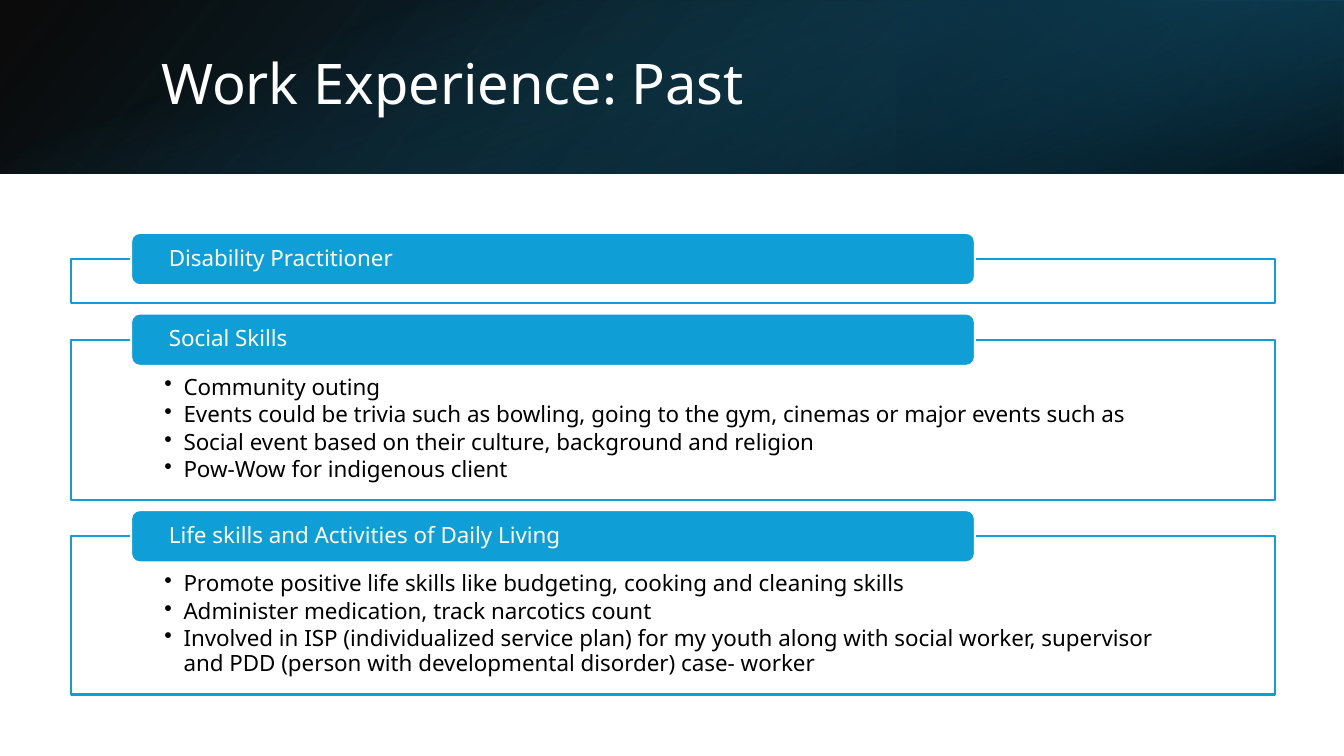
from lxml.etree import SubElement
from pptx import Presentation
from pptx.dml.color import RGBColor
from pptx.enum.shapes import MSO_SHAPE as Shape
from pptx.enum.text import MSO_ANCHOR as Anchor, PP_ALIGN as Align
from pptx.oxml import parse_xml
from pptx.oxml.ns import nsdecls, qn
from pptx.util import Inches, Pt

TITLE = "Work Experience: Past"
SECTIONS = [
    ("Disability Practitioner", 0.44, []),
    ("Social Skills", 1.59, [
        "Community outing",
        "Events could be trivia such as bowling, going to the gym, cinemas or major events such as",
        "Social event based on their culture, background and religion",
        "Pow-Wow for indigenous client",
    ]),
    ("Life skills and Activities of Daily Living", 1.57, [
        "Promote positive life skills like budgeting, cooking and cleaning skills",
        "Administer medication, track narcotics count",
        "Involved in ISP (individualized service plan) for my youth along with social worker, "
        "supervisor and PDD (person with developmental disorder) case- worker",
    ]),
]
THEME = {
    "font": "Noto Sans", "title_size": 40, "body_size": 16, "line": 1.5,
    "white": "FFFFFF", "black": "000000", "accent": "0F9ED5",
}
BANNER = [
    ((0, 0, 13.33, 1.72), 0, True, 140, [(0, "000000", 96), (100, "104862", 100)]),
    ((8.89, 0, 4.44, 1.72), 180, True, 320, [(19, "0B3041", 68), (100, "156082", 79)]),
    ((5.8, -5.8, 1.72, 13.33), 90, False, 340, [(23, "156082", 0), (99, "000000", 74)]),
]
BOX_LEFT, BOX_TOP, BOX_WIDTH, BOX_GAP = 0.7, 2.57, 11.95, 0.36
TAB_LEFT, TAB_WIDTH, TAB_HEIGHT = 1.3, 8.37, 0.52


def color(name):
    return RGBColor.from_string(THEME[name])


def add_block(slide, kind, place, fill, line):
    shape = slide.shapes.add_shape(kind, *map(Inches, place))
    shape.shadow.inherit = False
    shape.fill.solid()
    shape.fill.fore_color.rgb = color(fill)
    shape.line.color.rgb = color(line)
    shape.line.width = Pt(THEME["line"])
    return shape


def add_gradient(slide, place, rotation, flipped, angle, stops):
    shape = slide.shapes.add_shape(Shape.RECTANGLE, *map(Inches, place))
    shape.shadow.inherit = False
    shape.line.fill.background()
    shape.rotation = rotation
    properties = shape._element.spPr
    if flipped:
        properties.find(qn("a:xfrm")).set("flipH", "1")
    stop_xml = "".join(
        f'<a:gs pos="{position * 1000}"><a:srgbClr val="{rgb}">'
        f'<a:alpha val="{opacity * 1000}"/></a:srgbClr></a:gs>'
        for position, rgb, opacity in stops)
    gradient = parse_xml(
        f'<a:gradFill {nsdecls("a")} rotWithShape="1"><a:gsLst>{stop_xml}</a:gsLst>'
        f'<a:lin ang="{angle * 60000}" scaled="0"/></a:gradFill>')
    properties.find(qn("a:prstGeom")).addnext(gradient)


def set_frame(shape, insets, anchor):
    frame = shape.text_frame
    frame.word_wrap = True
    frame.vertical_anchor = anchor
    frame.margin_left, frame.margin_top, frame.margin_right, frame.margin_bottom = map(Inches, insets)
    return frame


def write(paragraph, text, size, ink):
    paragraph.alignment = Align.LEFT
    paragraph.line_spacing = 0.9
    run = paragraph.add_run()
    run.text = text
    run.font.name = THEME["font"]
    run.font.size = Pt(THEME[size])
    run.font.color.rgb = color(ink)


def write_bullets(frame, items):
    for index, item in enumerate(items):
        paragraph = frame.add_paragraph() if index else frame.paragraphs[0]
        write(paragraph, item, "body_size", "black")
        paragraph.space_after = Pt(2.4)
        properties = paragraph._p.get_or_add_pPr()
        properties.set("marL", str(Inches(0.19)))
        properties.set("indent", str(Inches(-0.19)))
        SubElement(properties, qn("a:buChar")).set("char", "•")


def add_section(slide, top, heading, height, items):
    box = add_block(slide, Shape.RECTANGLE, (BOX_LEFT, top, BOX_WIDTH, height), "white", "accent")
    fill_color = box._element.spPr.find(qn("a:solidFill"))[0]
    SubElement(fill_color, qn("a:alpha")).set("val", "90000")
    write_bullets(set_frame(box, (0.93, 0.36, 0.93, 0.12), Anchor.TOP), items)
    tab_place = (TAB_LEFT, top - TAB_HEIGHT / 2, TAB_WIDTH, TAB_HEIGHT)
    tab = add_block(slide, Shape.ROUNDED_RECTANGLE, tab_place, "accent", "white")
    frame = set_frame(tab, (0.35, 0, 0.35, 0), Anchor.MIDDLE)
    write(frame.paragraphs[0], heading, "body_size", "white")


def main():
    presentation = Presentation()
    presentation.slide_width, presentation.slide_height = Inches(13.33), Inches(7.5)
    slide = presentation.slides.add_slide(presentation.slide_layouts[6])
    for layer in BANNER:
        add_gradient(slide, *layer)
    title = slide.shapes.add_textbox(*map(Inches, (1.5, 0.38, 10.98, 0.96)))
    frame = set_frame(title, (0.1, 0.05, 0.1, 0.05), Anchor.MIDDLE)
    write(frame.paragraphs[0], TITLE, "title_size", "white")
    top = BOX_TOP
    for heading, height, items in SECTIONS:
        add_section(slide, top, heading, height, items)
        top += height + BOX_GAP
    presentation.save("out.pptx")


if __name__ == "__main__":
    main()
